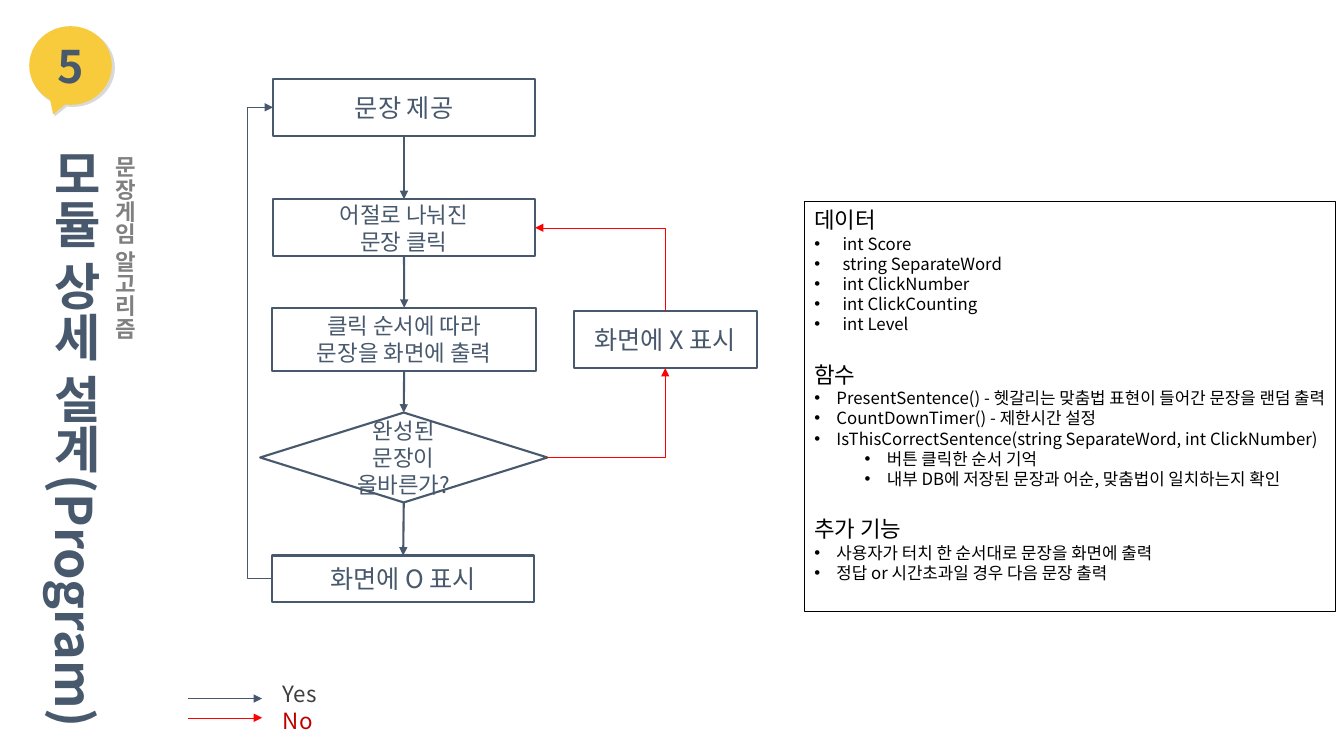
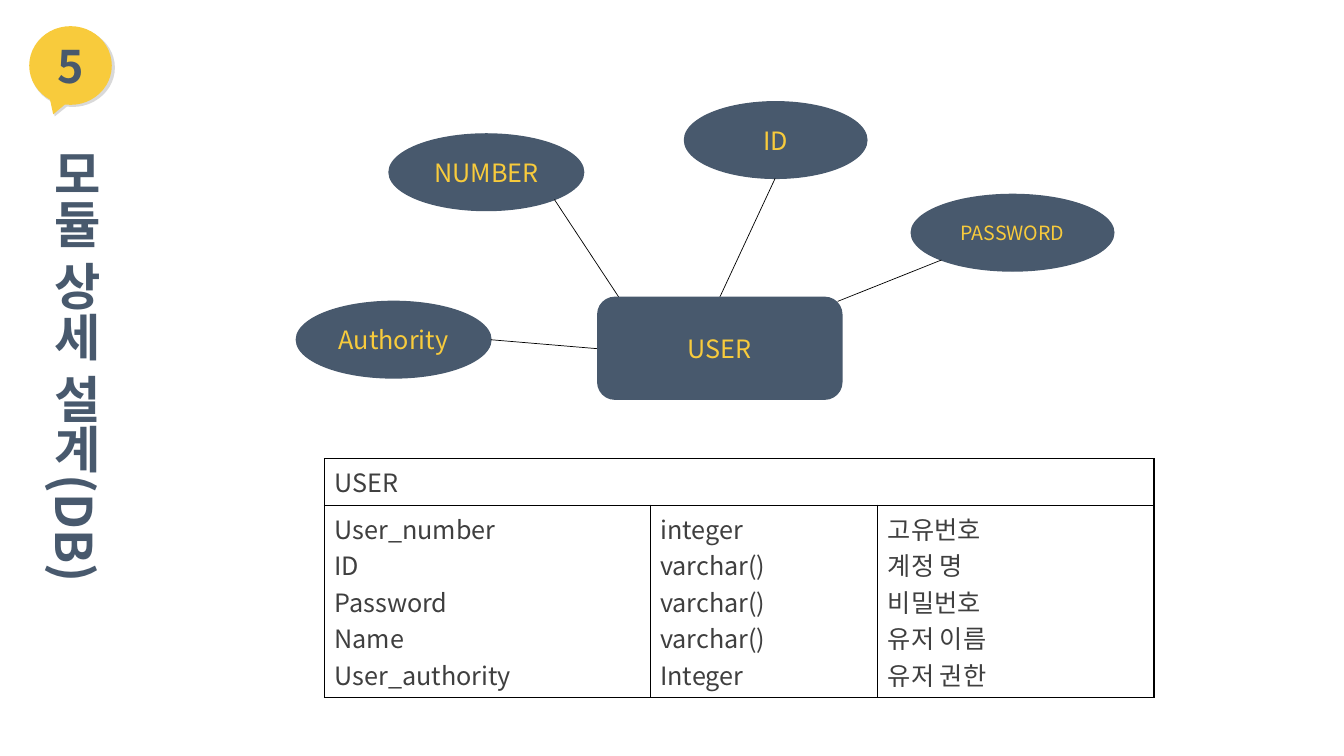
from lxml.etree import SubElement
from pptx import Presentation
from pptx.dml.color import RGBColor
from pptx.enum.shapes import MSO_CONNECTOR, MSO_SHAPE
from pptx.enum.text import MSO_ANCHOR, MSO_AUTO_SIZE, PP_ALIGN
from pptx.oxml.ns import qn
from pptx.util import Pt

FONT = "Noto Sans CJK KR"
NAVY, GOLD, BLACK, RED = "48596D", "F8CB3C", "000000", "FF0000"
GRAY, DARK, SHADE, CRIMSON = "808080", "3F3F3F", "D9D9D9", "C00000"
LEAD = 1.2
TOP, LEFT, BOTTOM, RIGHT = range(4)


def rgb(code):
    return RGBColor.from_string(code)


def pts(*nums):
    return [Pt(num) for num in nums]


def style(para, size, color, bold=False, align=PP_ALIGN.LEFT, lead=None):
    para.alignment = align
    if lead:
        para.line_spacing = Pt(size * lead)
    for run in para.runs:
        font = run.font
        font.size, font.bold, font.name = Pt(size), bold, FONT
        font.color.rgb = rgb(color)
        SubElement(run._r.get_or_add_rPr(), qn("a:ea"), typeface=FONT)


def write(frame, text, *look, **more):
    frame.text = text
    for para in frame.paragraphs:
        style(para, *look, **more)


def draw(host, kind, box, fill=None, line=None, width=1):
    shape = host.shapes.add_shape(kind, *pts(*box))
    shape.shadow.inherit = False
    if fill:
        shape.fill.solid()
        shape.fill.fore_color.rgb = rgb(fill)
    else:
        shape.fill.background()
    if line:
        shape.line.color.rgb = rgb(line)
        shape.line.width = Pt(width)
    else:
        shape.line.fill.background()
    return shape


def label(shape, text, size, color, **more):
    write(shape.text_frame, text, size, color, align=PP_ALIGN.CENTER, **more)


def ink(line, color, width, end=None):
    """Colour a connector, drop its shadow and add an arrowhead."""
    line.line.color.rgb = rgb(color)
    line.line.width = Pt(width)
    props = line.element.spPr
    if end:
        SubElement(props.find(qn("a:ln")), qn(f"a:{end}End"), type="triangle")
    SubElement(props, qn("a:effectLst"))


def stroke(slide, start, stop, color, width, end=None):
    line = slide.shapes.add_connector(
        MSO_CONNECTOR.STRAIGHT, *pts(*start, *stop))
    ink(line, color, width, end)


def link(slide, start, stop, color=NAVY, width=1.5, end="tail",
         prst="line", out=0):
    """Join two (shape, side) pairs; out is how far the bend stands off."""
    line = slide.shapes.add_connector(MSO_CONNECTOR.STRAIGHT, 0, 0, 0, 0)
    line.begin_connect(*start)
    line.end_connect(*stop)
    geom = line.element.spPr.find(qn("a:prstGeom"))
    geom.set("prst", prst)
    if out:
        ratio = round(-Pt(out) / line.width * 100000)
        SubElement(geom.find(qn("a:avLst")), qn("a:gd"),
                   name="adj1", fmla=f"val {ratio}")
    ink(line, color, width, end)


def column(slide, box, text, *look, **more):
    """Write text that runs from top to bottom."""
    shape = slide.shapes.add_textbox(*pts(*box))
    frame = shape.text_frame
    write(frame, text, *look, **more)
    frame.word_wrap = False
    frame.auto_size = MSO_AUTO_SIZE.SHAPE_TO_FIT_TEXT
    shape.element.txBody.bodyPr.set("vert", "eaVert")


def badge(slide, x, y):
    group = slide.shapes.add_group_shape()
    for dx, dy, wide, fill in ((0.7, 1.5, 60.5, SHADE), (0, 0, 59, GOLD)):
        drop = draw(group, MSO_SHAPE.OVAL_CALLOUT,
                    (x + dx, y + dy, wide, 56.2), fill)
        drop.adjustments[0], drop.adjustments[1] = -0.21, 0.62
    label(drop, "5", 32, NAVY, bold=True)


def start(deck, title, height):
    slide = deck.slides.add_slide(deck.slide_layouts[6])
    badge(slide, 20.9, 18.7)
    column(slide, (20.9, 99.4, 58.3, height), title, 36, NAVY, bold=True)
    return slide


def flow(slide, x, y):
    rect = MSO_SHAPE.RECTANGLE
    steps = (
        (rect, 19, 0, 187.2, 41, 18, "문장 제공"),
        (rect, 19, 86, 187.2, 41, 16, "어절로 나눠진\n문장 클릭"),
        (rect, 18.4, 163.6, 188.6, 45.4, 16,
         "클릭 순서에 따라\n문장을 화면에 출력"),
        (MSO_SHAPE.FLOWCHART_DECISION, 9.8, 238.5, 205.2, 64.2, 16,
         "완성된 문장이\n올바른가?"),
        (rect, 18.4, 340.6, 187.2, 33.1, 18, "화면에 O 표시"),
        (rect, 233.7, 165.8, 131, 41, 18, "화면에 X 표시"),
    )
    nodes = []
    for kind, dx, dy, wide, high, size, text in steps:
        node = draw(slide, kind, (x + dx, y + dy, wide, high),
                    line=NAVY, width=1.5)
        label(node, text, size, NAVY, lead=LEAD)
        nodes.append(node)
    *main, wrong = nodes
    for above, below in zip(main, main[1:]):
        link(slide, (above, BOTTOM), (below, TOP))
    first, click, _, check, right = main
    link(slide, (right, LEFT), (first, LEFT), width=0.5,
         prst="bentConnector3", out=18)
    link(slide, (check, RIGHT), (wrong, BOTTOM), RED, 0.25,
         prst="bentConnector2")
    link(slide, (click, RIGHT), (wrong, TOP), RED, 0.25, end="head",
         prst="bentConnector2")


def legend(slide, x, y):
    for dy, color in ((16.6, NAVY), (30.3, RED)):
        stroke(slide, (x, y + dy), (x + 52.6, y + dy), color, 0.25, "tail")
    frame = slide.shapes.add_textbox(*pts(x + 60.4, y, 56, 46)).text_frame
    frame.word_wrap = True
    frame.text = "Yes\nNo"
    for para, color in zip(frame.paragraphs, (DARK, CRIMSON)):
        style(para, 16, color, lead=LEAD)


def bullet(para, left, hang):
    props = para._p.get_or_add_pPr()
    props.set("marL", str(Pt(left)))
    props.set("indent", str(-Pt(hang)))
    SubElement(props, qn("a:buFont"), typeface="Arial")
    SubElement(props, qn("a:buChar"), char="•")


def notes(slide, box):
    parts = (
        ("데이터", 20.2, (
            (0, "int Score"),
            (0, "string SeparateWord"),
            (0, "int ClickNumber"),
            (0, "int ClickCounting"),
            (0, "int Level"))),
        ("함수", 15.8, (
            (0, "PresentSentence() - 헷갈리는 맞춤법 표현이 들어간 문장을 랜덤 출력"),
            (0, "CountDownTimer() - 제한시간 설정"),
            (0, "IsThisCorrectSentence(string SeparateWord, int ClickNumber)"),
            (1, "버튼 클릭한 순서 기억"),
            (1, "내부 DB에 저장된 문장과 어순, 맞춤법이 일치하는지 확인"))),
        ("추가 기능", 15.8, (
            (0, "사용자가 터치 한 순서대로 문장을 화면에 출력"),
            (0, "정답 or 시간초과일 경우 다음 문장 출력"))),
    )
    frame = draw(slide, MSO_SHAPE.RECTANGLE, box,
                 line=BLACK, width=0.75).text_frame
    frame.vertical_anchor = MSO_ANCHOR.TOP
    para = frame.paragraphs[0]
    for index, (head, hang, items) in enumerate(parts):
        if index:
            para = frame.add_paragraph()
            para.space_before = Pt(16 * LEAD)
        para.text = head
        style(para, 16, BLACK, lead=LEAD)
        for level, text in items:
            para = frame.add_paragraph()
            para.text, para.level = text, level
            style(para, 12, BLACK, lead=LEAD)
            bullet(para, hang + 36 * level, hang)


def entity(slide, x, y):
    """Draw the user entity with its four attributes."""
    fields = (
        ("Authority", 18, 0, 142.6, 139, (139, 170), (215.3, 176.4)),
        ("NUMBER", 18, 66.2, 23, 139, (184.3, 69.8), (230.4, 139.7)),
        ("ID", 18, 277.2, 0, 130.3, (342, 54.7), (302.4, 139.7)),
        ("PASSWORD", 14, 439.2, 66.2, 144.7, (460.8, 113), (386.6, 142.6)),
    )
    for text, size, dx, dy, wide, tip, foot in fields:
        oval = draw(slide, MSO_SHAPE.OVAL, (x + dx, y + dy, wide, 54.7),
                    NAVY, NAVY)
        label(oval, text, size, GOLD)
        stroke(slide, (x + tip[0], y + tip[1]),
               (x + foot[0], y + foot[1]), BLACK, 0.5)
    user = draw(slide, MSO_SHAPE.ROUNDED_RECTANGLE,
                (x + 215.3, y + 139.7, 174.3, 72.7), NAVY, NAVY)
    label(user, "USER", 18, GOLD)


def rule(cell):
    """Give a cell black borders and no fill."""
    props = cell._tc.get_or_add_tcPr()
    for side in "LRTB":
        edge = SubElement(props, qn(f"a:ln{side}"), w=str(Pt(1)))
        fill = SubElement(edge, qn("a:solidFill"))
        SubElement(fill, qn("a:srgbClr"), val=BLACK)
    cell.fill.background()


def schema(slide, x, y):
    widths, heights = (232.6, 162.7, 197.3), (29.5, 130.3)
    texts = (
        ("USER", "", ""),
        ("User_number\nID\nPassword\nName\nUser_authority",
         "integer\nvarchar()\nvarchar()\nvarchar()\nInteger",
         "고유번호\n계정 명\n비밀번호\n유저 이름\n유저 권한"),
    )
    table = slide.shapes.add_table(
        2, 3, *pts(x, y, sum(widths), sum(heights))).table
    table.first_row = table.horz_banding = False
    for col, width in zip(table.columns, widths):
        col.width = Pt(width)
    for row, height, line in zip(table.rows, heights, texts):
        row.height = Pt(height)
        for cell, text in zip(row.cells, line):
            write(cell.text_frame, text, 18, DARK)
            rule(cell)
    table.cell(0, 0).merge(table.cell(0, 2))


def main():
    deck = Presentation()
    deck.slide_width, deck.slide_height = pts(960, 540)

    slide = start(deck, "모듈 상세 설계(Program)", 415.4)
    column(slide, (67, 104.4, 35.3, 139.7), "문장게임 알고리즘", 16, GRAY,
           bold=True, align=PP_ALIGN.CENTER)
    flow(slide, 176, 56.2)
    legend(slide, 134.6, 482.4)
    notes(slide, (574.6, 144, 379.4, 293))

    slide = start(deck, "모듈 상세 설계(DB)", 324)
    entity(slide, 211.7, 72.7)
    schema(slide, 231.8, 327.6)
    deck.save("out.pptx")


if __name__ == "__main__":
    main()
